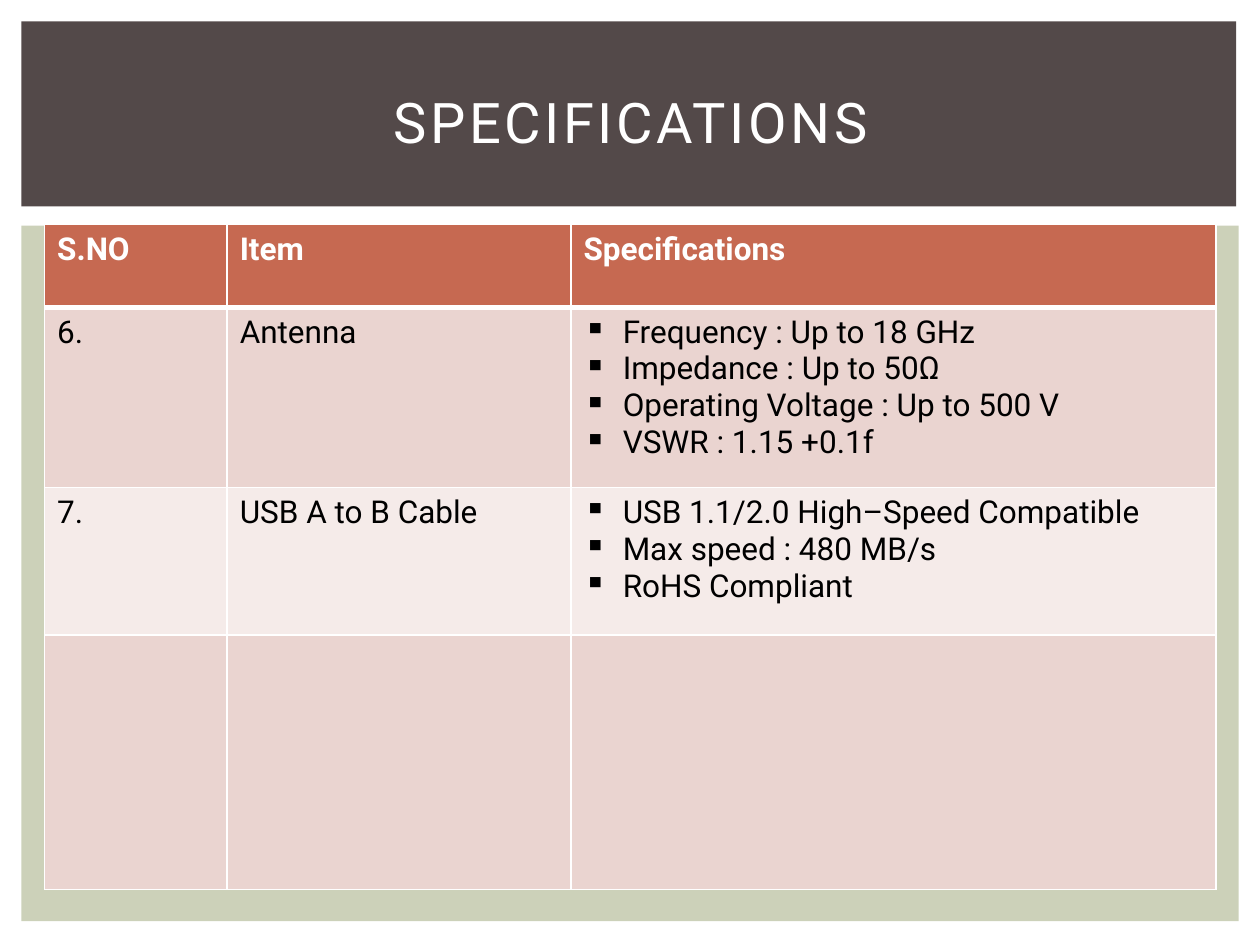
import pptx
import pptx.util
import pptx.dml.color
import pptx.enum.shapes
import pptx.enum.text
import pptx.oxml.ns
from lxml import etree
from pptx.util import Cm, Pt

FONT = "Roboto"
WHITE, BLACK = "FFFFFF", "000000"
BAND, PANEL = "534949", "CCD1B9"
HEADER, ROW_DARK, ROW_LIGHT = "C66951", "EAD4D0", "F5EBE9"

COLUMN_WIDTHS = [3.68, 6.93, 13.0]
ROW_HEIGHTS = [1.67, 3.63, 2.97, 5.13]
ROWS = [
    [["S.NO"], ["Item"], ["Specifications"]],
    [["6."], ["Antenna"], [
        "Frequency : Up to 18 GHz",
        "Impedance : Up to 50Ω",
        "Operating Voltage : Up to 500 V",
        "VSWR : 1.15 +0.1f",
    ]],
    [["7."], ["USB A to B Cable"], [
        "USB 1.1/2.0 High–Speed Compatible",
        "Max speed : 480 MB/s",
        "RoHS Compliant",
    ]],
    [[], [], []],
]


def color(value):
    return pptx.dml.color.RGBColor.from_string(value)


def add_xml(parent, tag, **attributes):
    return etree.SubElement(parent, pptx.oxml.ns.qn(tag), **attributes)


def style_font(font, size, value, bold=False):
    font.name = FONT
    font.size = Pt(size)
    font.bold = bold
    font.color.rgb = color(value)


def add_panel(page, left, top, width, height, fill):
    panel = page.shapes.add_shape(
        pptx.enum.shapes.MSO_SHAPE.RECTANGLE,
        Cm(left), Cm(top), Cm(width), Cm(height))
    panel.shadow.inherit = False
    panel.fill.solid()
    panel.fill.fore_color.rgb = color(fill)
    panel.line.fill.background()


def format_title(title, text):
    title.left, title.top = Cm(1.07), Cm(0.99)
    title.width, title.height = Cm(23.29), Cm(2.92)
    title.text_frame.vertical_anchor = pptx.enum.text.MSO_ANCHOR.MIDDLE
    para = title.text_frame.paragraphs[0]
    para.alignment = pptx.enum.text.PP_ALIGN.CENTER
    style_font(para.font, 32, WHITE)
    span = para.add_run()
    span.text = text
    span.font._element.set("spc", "200")
    # Bring the title in front of the band
    title.element.getparent().append(title.element)


def set_borders(cell, top, bottom):
    properties = cell._tc.get_or_add_tcPr()
    for side, width in (("L", 1), ("R", 1), ("T", top), ("B", bottom)):
        line = add_xml(properties, f"a:ln{side}", w=str(Pt(width)))
        add_xml(add_xml(line, "a:solidFill"), "a:srgbClr", val=WHITE)


def add_bullet(para):
    properties = para._p.get_or_add_pPr()
    indent = Cm(0.79)
    properties.set("marL", str(indent))
    properties.set("indent", str(-indent))
    add_xml(properties, "a:buChar", char="▪")


def fill_cell(cell, lines, row):
    is_header = row == 0
    set_borders(cell, 3 if row == 1 else 1, 3 if is_header else 1)
    cell.fill.solid()
    cell.fill.fore_color.rgb = color(
        HEADER if is_header else ROW_DARK if row % 2 else ROW_LIGHT)
    for index, text in enumerate(lines):
        frame = cell.text_frame
        para = frame.add_paragraph() if index else frame.paragraphs[0]
        if len(lines) > 1:
            add_bullet(para)
        style_font(para.font, 18, WHITE if is_header else BLACK, is_header)
        para.add_run().text = text


def add_specification_table(page):
    table = page.shapes.add_table(
        len(ROWS), len(COLUMN_WIDTHS), Cm(0.9), Cm(4.53),
        Cm(sum(COLUMN_WIDTHS)), Cm(sum(ROW_HEIGHTS))).table
    for column, width in zip(table.columns, COLUMN_WIDTHS):
        column.width = Cm(width)
    for row, (height, contents) in enumerate(zip(ROW_HEIGHTS, ROWS)):
        table.rows[row].height = Cm(height)
        for column, lines in enumerate(contents):
            fill_cell(table.cell(row, column), lines, row)


def main():
    deck = pptx.Presentation()
    deck.slide_width, deck.slide_height = Cm(25.4), Cm(19.05)
    page = deck.slides.add_slide(deck.slide_layouts.get_by_name("Title Only"))

    # Background panel and title band
    add_panel(page, 0.43, 4.55, 24.54, 14.02, PANEL)
    add_panel(page, 0.43, 0.43, 24.49, 3.73, BAND)

    # Content
    add_specification_table(page)
    format_title(page.shapes.title, "SPECIFICATIONS")

    deck.save("out.pptx")


if __name__ == "__main__":
    main()
